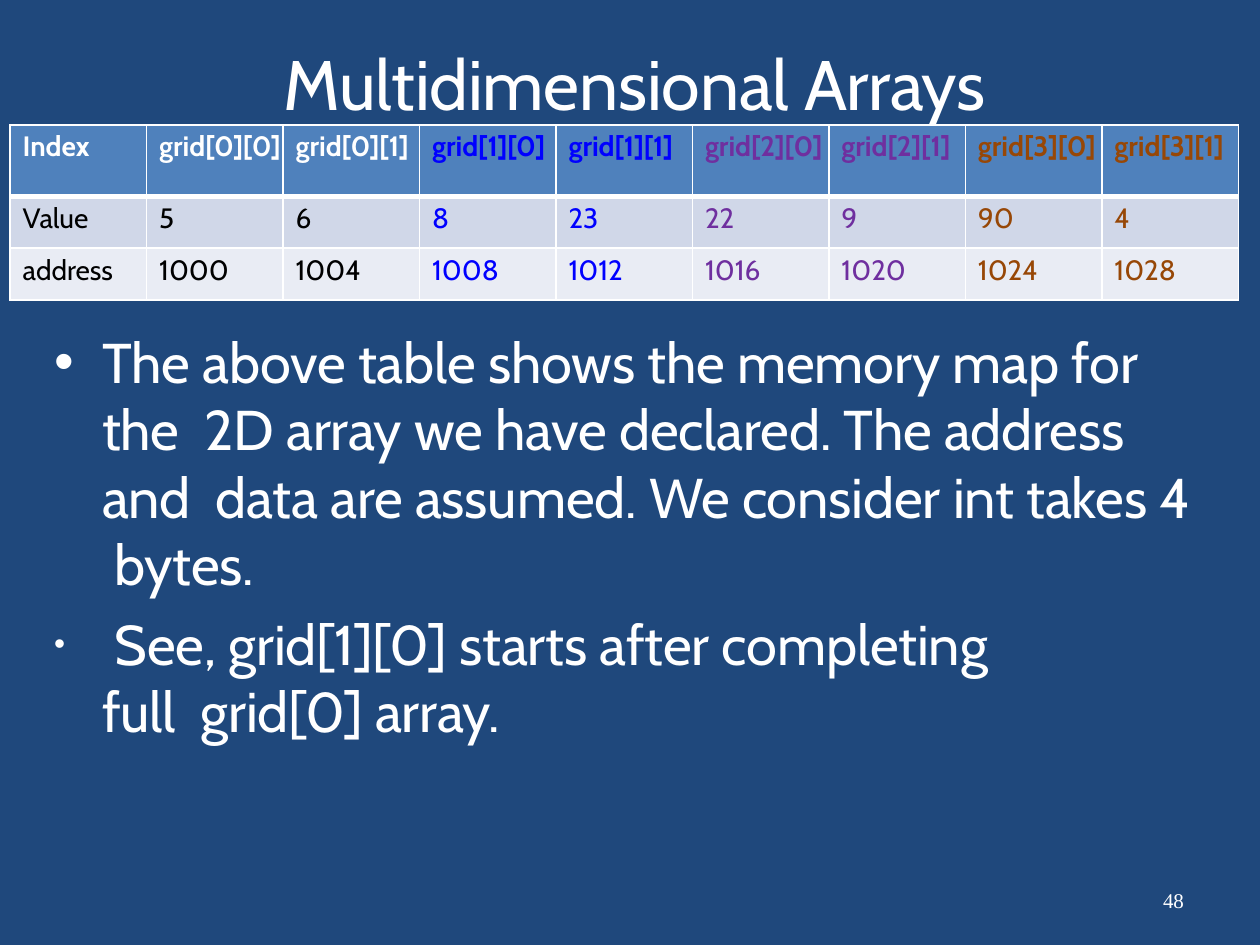
"""Build the slide showing the memory map of a 2D array."""
from lxml import etree
from pptx import Presentation
from pptx import util as u
from pptx.dml.color import RGBColor
from pptx.enum import text
from pptx.oxml import ns

WHITE = RGBColor(0xFF, 0xFF, 0xFF)
BLACK = RGBColor(0, 0, 0)
NAVY = RGBColor(0x1F, 0x48, 0x7C)
BLUE = RGBColor(0, 0, 0xFF)
PURPLE = RGBColor(0x6F, 0x2F, 0x9F)
BROWN = RGBColor(0x97, 0x47, 0x06)
HEADER = RGBColor(0x4F, 0x81, 0xBC)
BAND = RGBColor(0xD0, 0xD7, 0xE8)
PALE = RGBColor(0xE9, 0xEC, 0xF4)


def add_run(p, words, size, color, font="Cabin", bold=False, spacing=0):
    r = p.add_run()
    r.text = words
    r.font.size = u.Pt(size)
    r.font.name = font
    r.font.bold = bold
    r.font.color.rgb = color
    r._r.get_or_add_rPr().set("spc", str(spacing))


def place(sp, left, top, width, height):
    sp.left, sp.top = u.Inches(left), u.Inches(top)
    sp.width, sp.height = u.Inches(width), u.Inches(height)
    tf = sp.text_frame
    tf.word_wrap = True
    tf.auto_size = text.MSO_AUTO_SIZE.NONE
    tf.vertical_anchor = text.MSO_ANCHOR.TOP
    tf.margin_left = tf.margin_right = tf.margin_bottom = 0
    tf.margin_top = u.Inches(0.01)
    return tf


prs = Presentation()
prs.slide_width, prs.slide_height = u.Inches(10), u.Inches(7.5)
s = prs.slides.add_slide(prs.slide_layouts[1])
s.background.fill.solid()
s.background.fill.fore_color.rgb = NAVY

tf = place(s.shapes.title, 2.25, 0.31, 6.5, 0.68)
p = tf.paragraphs[0]
p.alignment = text.PP_ALIGN.LEFT
p.space_before = u.Pt(1)
add_run(p, "Multidimensional ", 40, WHITE, spacing=-10)
add_run(p, "Arrays", 40, WHITE, spacing=-30)

tf = place(s.placeholders[1], 0.42, 2.59, 9.07, 3.33)
bullets = [
    (1, 0, 0.39, "", "The above table shows the memory map for the  2D array we have "
     "declared. The address and  data are assumed. We consider int takes 4  bytes."),
    (7.6, 1.3, 0.49, "\t", "See, grid[1][0] starts after completing full  grid[0] array."),
]
for i, (before, right, tab, lead, words) in enumerate(bullets):
    p = tf.add_paragraph() if i else tf.paragraphs[0]
    p.space_before = u.Pt(before)
    pPr = p._p.get_or_add_pPr()
    pPr.set("marL", str(u.Inches(0.39)))
    pPr.set("marR", str(u.Inches(right)))
    pPr.set("indent", str(u.Inches(-0.38)))
    clr = etree.SubElement(pPr, ns.qn("a:buClr"))
    etree.SubElement(clr, ns.qn("a:srgbClr"), val=str(WHITE))
    etree.SubElement(pPr, ns.qn("a:buChar"), char="•")
    tabs = etree.SubElement(pPr, ns.qn("a:tabLst"))
    etree.SubElement(tabs, ns.qn("a:tab"), pos=str(u.Inches(tab)), algn="l")
    if lead:
        add_run(p, lead, 18, BLACK, "Calibri")
    add_run(p, words, 32, WHITE, spacing=-10)

rows = [
    ["Index"] + [f"grid[{i}][{j}]" for i in range(4) for j in range(2)],
    ["Value", "5", "6", "8", "23", "22", "9", "90", "4"],
    ["address"] + [str(1000 + 4 * i) for i in range(8)],
]
pair_colors = [None, BLUE, PURPLE, BROWN]
frame = s.shapes.add_table(3, 9, u.Inches(0.08), u.Inches(0.99), u.Inches(9.75), u.Inches(1.39))
table = frame.table
for col in table.columns:
    col.width = u.Inches(9.75 / 9)
for row, height in zip(table.rows, (0.57, 0.41, 0.41)):
    row.height = u.Inches(height)

for i, values in enumerate(rows):
    for j, value in enumerate(values):
        cell = table.cell(i, j)
        cell.margin_left, cell.margin_top = u.Inches(0.1), u.Inches(0.04)
        cell.margin_right = cell.margin_bottom = 0
        tcPr = cell._tc.get_or_add_tcPr()
        for side in "LRTB":
            thick = (i, side) in ((0, "B"), (1, "T"))
            ln = etree.SubElement(tcPr, ns.qn("a:ln" + side), w=str(u.Pt(3 if thick else 1)))
            fill = etree.SubElement(ln, ns.qn("a:solidFill"))
            etree.SubElement(fill, ns.qn("a:srgbClr"), val=str(WHITE))
        cell.fill.solid()
        cell.fill.fore_color.rgb = (HEADER, BAND, PALE)[i]
        p = cell.text_frame.paragraphs[0]
        p.space_before = u.Pt(2.6)
        color = pair_colors[max(j - 1, 0) // 2] or (BLACK if i else WHITE)
        add_run(p, value, 16, color, bold=i == 0)

sp = s.shapes.add_textbox(0, 0, 0, 0)
tf = place(sp, 9.19, 7.05, 0.25, 0.21)
tf.margin_left, tf.margin_top = u.Inches(0.04), 0
p = tf.paragraphs[0]
p.line_spacing = u.Pt(14.1)
add_run(p, "48", 12, WHITE, "Times New Roman")

prs.save("out.pptx")
